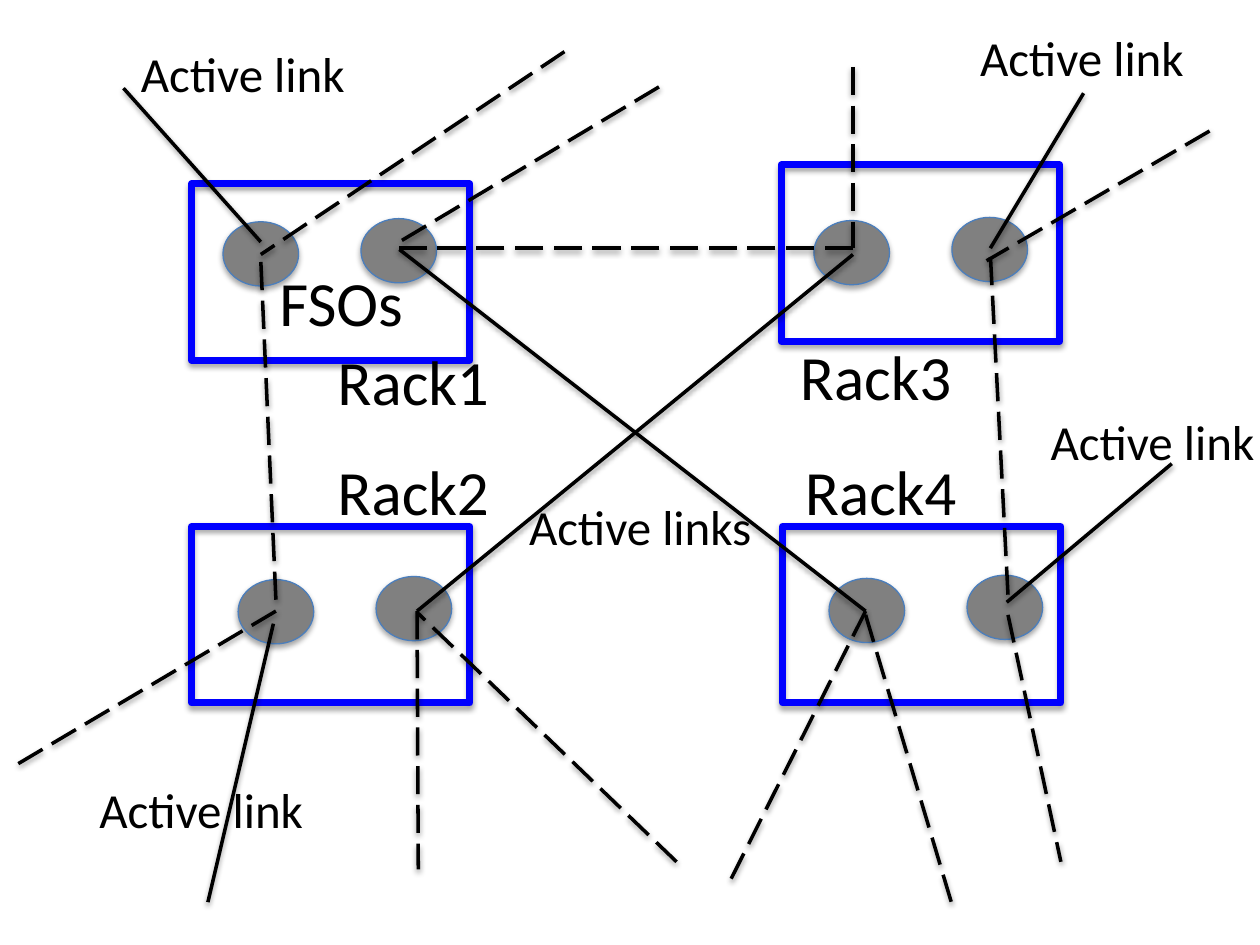
import pptx
import pptx.util
import pptx.oxml
import pptx.dml.color
import pptx.enum.dml
import pptx.enum.shapes
import pptx.enum.text

COLUMNS, ROWS = 100, 75
SHADOW = (
    '<a:effectLst xmlns:a="http://schemas.openxmlformats.org/drawingml/2006/main">'
    '<a:outerShdw blurRad="40000" dist="{distance}" dir="5400000" rotWithShape="0">'
    '<a:srgbClr val="000000"><a:alpha val="{alpha}"/></a:srgbClr>'
    '</a:outerShdw></a:effectLst>'
)


def color(value):
    """Turn a hex string into a colour."""
    return pptx.dml.color.RGBColor.from_string(value)


def write(box, text, size=28, font="Calibri", ink="000000"):
    """Put formatted text into a box that fits its words."""
    frame = box.text_frame
    frame.word_wrap = False
    frame.auto_size = pptx.enum.text.MSO_AUTO_SIZE.SHAPE_TO_FIT_TEXT
    span = frame.paragraphs[0].add_run()
    span.text = text
    span.font.size = pptx.util.Pt(size)
    span.font.name = font
    span.font.color.rgb = color(ink)


class Diagram:
    """Draw the rack diagram on a grid over the slide."""

    def __init__(self, deck, page):
        self.page = page
        self.column = deck.slide_width / COLUMNS
        self.row = deck.slide_height / ROWS

    def place(self, *lengths):
        """Turn alternating columns and rows into slide lengths."""
        return [round(length * (self.row if index % 2 else self.column))
                for index, length in enumerate(lengths)]

    def shade(self, element, distance, alpha):
        """Give an element a soft shadow below it."""
        effect = SHADOW.format(distance=distance, alpha=alpha)
        element.spPr.append(pptx.oxml.parse_xml(effect))

    def shape(self, kind, area, line, width, fill=None):
        """Add an outlined shape, filled if a colour is given."""
        shape = self.page.shapes.add_shape(kind, *self.place(*area))
        if fill:
            shape.fill.solid()
            shape.fill.fore_color.rgb = color(fill)
        else:
            shape.fill.background()
        shape.line.color.rgb = color(line)
        shape.line.width = pptx.util.Pt(width)
        self.shade(shape._element, 23000, 35000)

    def rack(self, left, top):
        """Add the frame of a rack."""
        kind = pptx.enum.shapes.MSO_SHAPE.RECTANGLE
        self.shape(kind, (left, top, 22.1, 14), "0000FF", 4)

    def pair(self, left, top):
        """Add the two devices of a rack."""
        kind = pptx.enum.shapes.MSO_SHAPE.OVAL
        for across, down in ((0, 0), (10.95, -0.25)):
            self.shape(kind, (left + across, top + down, 6, 5.1), "4B7EBC", 0.75, "808080")

    def link(self, ends, dashed):
        """Add a link, solid when active and dashed when not."""
        kind = pptx.enum.shapes.MSO_CONNECTOR.STRAIGHT
        link = self.page.shapes.add_connector(kind, *self.place(*ends))
        link.line.color.rgb = color("000000")
        link.line.width = pptx.util.Pt(2)
        if dashed:
            link.line.dash_style = pptx.enum.dml.MSO_LINE.LONG_DASH
        self.shade(link._element, 20000, 38000)

    def label(self, text, left, top, width, height, size):
        """Add a line of text."""
        box = self.page.shapes.add_textbox(*self.place(left, top, width, height))
        write(box, text, size=size)


deck = pptx.Presentation()
deck.slide_width = pptx.util.Inches(10)
deck.slide_height = pptx.util.Inches(7.5)
page = deck.slides.add_slide(deck.slide_layouts[6])
diagram = Diagram(deck, page)

racks = [(15.2, 14.6), (15.2, 41.8), (62, 13.1), (62.1, 41.8)]
pairs = [(17.7, 17.6), (18.9, 46), (64.6, 17.5), (65.8, 45.9)]
active_links = [
    (20.7, 19.2, 9.8, 7), (78.6, 19.7, 86, 7.4),
    (33.1, 48.5, 67.7, 20.2), (16.5, 71.6, 21.7, 49.5),
    (79.9, 47.8, 93, 36.8), (68.7, 48.5, 31.7, 19.8),
]
idle_links = [
    (53.7, 68.4, 33.1, 48.6), (21.9, 47.6, 20.7, 20.7),
    (80, 47.2, 78.6, 20.2), (68.7, 48.8, 75.5, 71.6),
    (44.8, 4.1, 20.7, 20.2), (96, 10.4, 78.3, 20.7),
    (68.7, 48.5, 57.9, 70), (80, 48.8, 84.2, 68.4),
    (33.1, 48.5, 33.2, 69), (21.9, 48.5, 1.3, 60.7),
    (52.3, 6.9, 31.7, 19.2), (67.7, 5.3, 67.7, 19.7),
    (67.7, 19.7, 31.6, 19.7),
]
rack_labels = [
    ("Rack1", 25.8, 26.7, 14.2), ("Rack2", 25.8, 35.4, 14.2),
    ("Rack3", 62.5, 26.3, 14.2), ("Rack4", 62.9, 35.4, 14.2),
    ("FSOs", 21.2, 20.4, 12),
]
link_labels = [
    ("Active links", 41, 38.9, 19.9), ("Active link", 82.4, 32.2, 18.4),
    ("Active link", 76.8, 1.7, 18.4), ("Active link", 10.2, 3, 18.4),
    ("Active link", 6.9, 61.4, 18.4),
]

for corner in racks:
    diagram.rack(*corner)
for corner in pairs:
    diagram.pair(*corner)
for links, dashed in ((active_links, False), (idle_links, True)):
    for ends in links:
        diagram.link(ends, dashed)
for labels, height, size in ((rack_labels, 7.1, 36), (link_labels, 5.7, 28)):
    for label in labels:
        diagram.label(*label, height, size)

deck.save("out.pptx")
